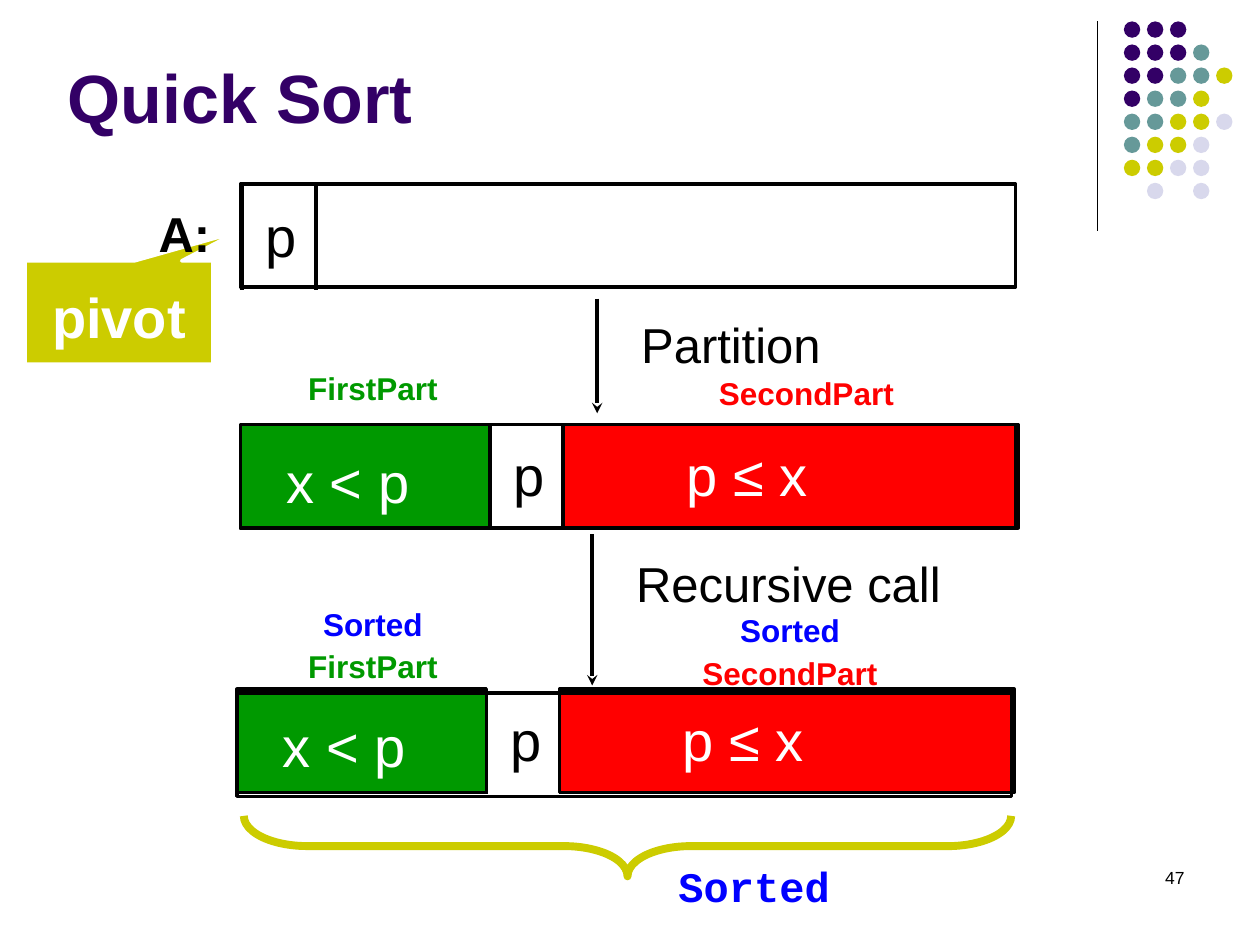
from lxml import etree
from pptx import Presentation
from pptx.dml.color import RGBColor
from pptx.enum.shapes import MSO_CONNECTOR, MSO_SHAPE
from pptx.enum.text import MSO_ANCHOR, PP_ALIGN
from pptx.oxml.ns import qn
from pptx.util import Inches, Pt

COLORS = {
    "black": "000000", "white": "FFFFFF", "purple": "330066", "teal": "669999",
    "olive": "CCCC00", "lilac": "D8D8EC", "green": "009900", "red": "FF0000",
    "blue": "0000FF",
}

deck = Presentation()
deck.slide_width, deck.slide_height = Inches(10), Inches(7.5)
page = deck.slides.add_slide(deck.slide_layouts[6])

# Grid of 100 columns by 75 rows
COL = deck.slide_width / 100
ROW = deck.slide_height / 75


def add_block(kind, place, fill=None, line=None, weight=2, paras=(), size=18,
              bold=False, font="Arial", align=PP_ALIGN.LEFT,
              anchor=MSO_ANCHOR.TOP, bottom=0.5, spacing=None, gap=0):
    """Add a shape (or a text box when kind is None); paras holds (text, colour)."""
    left, top, width, height = place
    area = [round(n) for n in (left * COL, top * ROW, width * COL, height * ROW)]
    if kind is None:
        shape = page.shapes.add_textbox(*area)
    else:
        shape = page.shapes.add_shape(kind, *area)
        shape.shadow.inherit = False
        if fill:
            shape.fill.solid()
            shape.fill.fore_color.rgb = RGBColor.from_string(COLORS[fill])
        else:
            shape.fill.background()
        if line:
            shape.line.color.rgb = RGBColor.from_string(COLORS[line])
            shape.line.width = Pt(weight)
        else:
            shape.line.fill.background()
    frame = shape.text_frame
    frame.word_wrap = True
    frame.vertical_anchor = anchor
    frame.margin_bottom = round(bottom * ROW)
    for number, (text, color) in enumerate(paras):
        para = frame.add_paragraph() if number else frame.paragraphs[0]
        para.alignment = align
        if spacing:
            para.line_spacing = spacing
        if number:
            para.space_before = Pt(gap)
        span = para.add_run()
        span.text = text
        span.font.name = font
        span.font.size = Pt(size)
        span.font.bold = bold
        span.font.color.rgb = RGBColor.from_string(COLORS[color])
    return shape


def add_upright(x, top, bottom, weight=2, arrow=False):
    """Add a vertical black line, with an arrowhead at its foot if asked."""
    rule = page.shapes.add_connector(
        MSO_CONNECTOR.STRAIGHT, round(x * COL), round(top * ROW),
        round(x * COL), round(bottom * ROW))
    rule.line.color.rgb = RGBColor.from_string(COLORS["black"])
    rule.line.width = Pt(weight)
    if arrow:
        etree.SubElement(rule.line._get_or_add_ln(), qn("a:tailEnd"), type="stealth")
    etree.SubElement(rule._element.spPr, qn("a:effectLst"))


# Corner decoration: one letter per dot
add_upright(87.1, 1.7, 18.3, weight=0.75)
DOTS = ["ppp", "pppt", "pptto", "ptto", "ttool", "tool", "ooll", " l l"]
DOT_COLORS = {"p": "purple", "t": "teal", "o": "olive", "l": "lilac"}
for row, letters in enumerate(DOTS):
    for column, letter in enumerate(letters):
        if letter in DOT_COLORS:
            add_block(MSO_SHAPE.OVAL,
                      (89.2 + 1.83 * column, 1.7 + 1.83 * row, 1.3, 1.3),
                      fill=DOT_COLORS[letter])

# Title
add_block(None, (4.4, 3.5, 82.5, 8.3), paras=[("Quick Sort", "purple")],
          size=39, bold=True, anchor=MSO_ANCHOR.MIDDLE)

# Array before partition
add_block(MSO_SHAPE.RECTANGLE, (19.1, 14.6, 61.5, 8.2), line="black")
for x in (19.2, 25.1):
    add_upright(x, 14.7, 23)
add_block(None, (20.1, 15.5, 4.2, 5.8), paras=[("p", "black")], size=32, bottom=0)

# Partitioned array, then the same array after the recursive call
for left, top, frame_drop in ((19.1, 33.7, 0), (18.8, 54.7, 0.3)):
    add_block(MSO_SHAPE.RECTANGLE, (left, top, 19.8, 8.2), fill="green", line="black")
    add_block(None, (left + 2.65, top + 1.3, 15, 5.8), paras=[("x < p", "white")],
              size=32, bottom=0)
    for x in (19.8, 25.7):
        add_upright(left + x, top, top + 8.3)
    add_block(None, (left + 20.7, top + 0.8, 4.2, 5.8), paras=[("p", "black")],
              size=32, bottom=0)
    add_block(MSO_SHAPE.RECTANGLE, (left + 25.6, top, 36.1, 8.2), fill="red", line="black")
    add_block(MSO_SHAPE.RECTANGLE, (left + 34.4, top + 0.8, 17.5, 5.8), fill="red",
              paras=[("p ≤ x", "white")], size=32, bottom=0)
    add_block(MSO_SHAPE.RECTANGLE, (left, top + frame_drop, 61.5, 8.2), line="black")

# Steps between the arrays
for x, top, bottom, label_top, label in (
        (47.4, 23.7, 32.8, 24.5, "Partition"),
        (47, 42.4, 54.4, 43.4, "Recursive call")):
    add_upright(x, top, bottom, arrow=True)
    add_block(None, (x + 2.5, label_top, 36.5, 5.2), paras=[(label, "black")],
              size=28, bottom=0)

# Names of the parts
first, second, done = ("FirstPart", "green"), ("SecondPart", "red"), ("Sorted", "blue")
for place, paras, spacing, gap in (
        ((19.3, 28.8, 20.6, 4), [first], None, 0),
        ((48.1, 29.2, 31.8, 4), [second], None, 0),
        ((19.3, 48.8, 20.6, 5.9), [done, first], 0.5, 13.5),
        ((52, 49.1, 21.4, 6.2), [done, second], 0.6, 11.2)):
    add_block(None, place, paras=paras, bold=True, align=PP_ALIGN.CENTER,
              spacing=spacing, gap=gap)

# Pivot callout and array name
callout = add_block(MSO_SHAPE.RECTANGULAR_CALLOUT, (2, 20.7, 14.9, 8.2), fill="olive",
                    line="white", paras=[("pivot", "white")], size=32, bold=True,
                    align=PP_ALIGN.CENTER, anchor=MSO_ANCHOR.MIDDLE, bottom=0)
callout.adjustments[0], callout.adjustments[1] = 0.63, -0.78
add_block(None, (11.6, 15.7, 7.2, 5.7), paras=[("A:", "black")], size=28, bold=True)

# Brace under the sorted array
brace = add_block(MSO_SHAPE.RIGHT_BRACE, (47.4, 36.7, 4.8, 60.9), line="olive", weight=4.5)
brace.rotation = 90
brace.adjustments[0] = 1.05
add_block(None, (46.5, 67.8, 26.7, 5), paras=[done], size=24, bold=True,
          font="Courier New", align=PP_ALIGN.CENTER)

# Page number
add_block(None, (71.7, 68.3, 23.3, 5), paras=[("47", "black")], size=10,
          align=PP_ALIGN.RIGHT)

deck.save("out.pptx")
